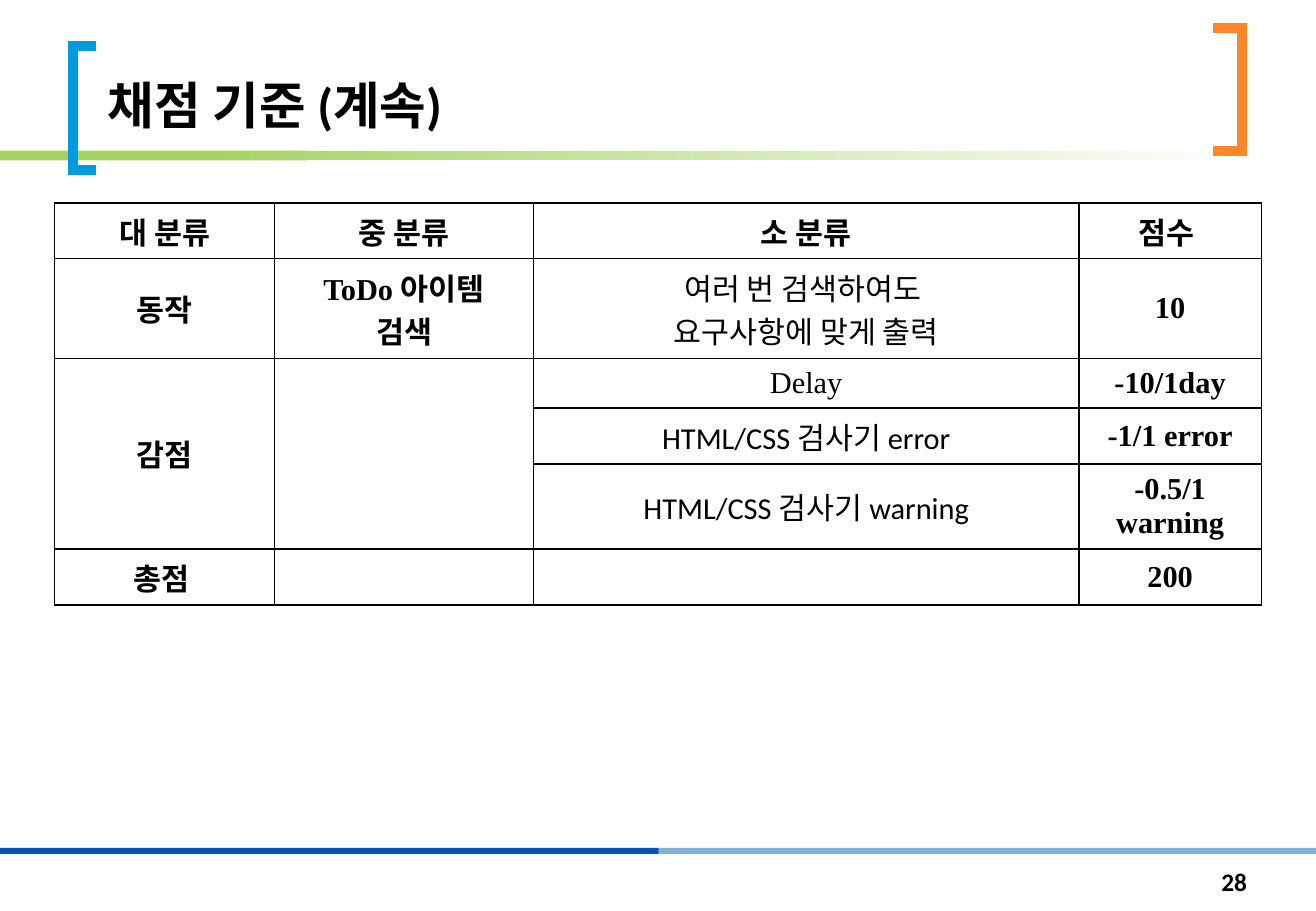
"""Build the grading criteria slide with its score table."""
from lxml.etree import SubElement
from pptx import Presentation
from pptx.dml.color import RGBColor
from pptx.enum.shapes import MSO_SHAPE
from pptx.enum.text import MSO_ANCHOR, PP_ALIGN
from pptx.oxml import parse_xml
from pptx.oxml.ns import nsdecls, qn
from pptx.util import Inches, Pt

BLACK = RGBColor(0x00, 0x00, 0x00)
WHITE = RGBColor(0xFF, 0xFF, 0xFF)
GREEN = RGBColor(0xA5, 0xD3, 0x63)
SKY = RGBColor(0x00, 0x9A, 0xDE)
ORANGE = RGBColor(0xFF, 0x86, 0x29)
NAVY = RGBColor(0x05, 0x53, 0xB4)
PALE_BLUE = RGBColor(0x87, 0xAD, 0xDB)

SANS, SERIF = "Calibri", "Times New Roman"
TITLE = "채점 기준 (계속)"
PAGE_NUMBER = "28"

BARS = [
    (5.42, 6.98, 5.42, 0.05, [PALE_BLUE]),
    (0, 1.24, 2.53, 0.08, [GREEN]),
    (1.72, 1.24, 8.58, 0.08, [GREEN, WHITE]),
    (0, 6.98, 5.42, 0.05, [NAVY]),
]
BRACKETS = [
    ([(0.79, 1.4), (0.6, 1.4), (0.6, 0.38), (0.79, 0.38)], SKY),
    ([(9.98, 0.23), (10.22, 0.23), (10.22, 1.24), (9.98, 1.24)], ORANGE),
]

COLUMN_WIDTHS = [1.81, 2.13, 4.49, 1.5]
ROW_HEIGHTS = [0.46, 0.82, 0.41, 0.46, 0.65, 0.46]
ROWS = [
    [("대 분류", SERIF, True), ("중 분류", SERIF, True),
     ("소 분류", SERIF, True), ("점수 ", SERIF, True)],
    [("동작", SANS, True), ("ToDo 아이템\n검색", SERIF, True),
     ("여러 번 검색하여도 \n요구사항에 맞게 출력", SERIF, False), ("10", SERIF, True)],
    [("감점", SANS, True), None, ("Delay", SERIF, False), ("-10/1day", SERIF, True)],
    [None, None, ("HTML/CSS 검사기 error", SANS, False), ("-1/1 error", SERIF, True)],
    [None, None, ("HTML/CSS 검사기 warning", SANS, False),
     ("-0.5/1 warning", SERIF, True)],
    [("총점 ", SANS, True), None, None, ("200", SERIF, True)],
]
MERGED_COLUMNS = (0, 1)
MERGED_ROWS = (2, 4)


def style(para, font_name, size, bold, alignment):
    para.alignment = alignment
    para.font.name = font_name
    para.font.size = Pt(size)
    para.font.bold = bold
    para.font.color.rgb = BLACK


def add_bar(page, left, top, width, height, colors):
    bar = page.shapes.add_shape(MSO_SHAPE.RECTANGLE, Inches(left), Inches(top),
                                Inches(width), Inches(height))
    bar.shadow.inherit = False
    bar.line.fill.background()
    if len(colors) == 1:
        bar.fill.solid()
        bar.fill.fore_color.rgb = colors[0]
    else:
        bar.fill.gradient()
        bar.fill.gradient_angle = 0
        for stop, color in zip(bar.fill.gradient_stops, colors):
            stop.color.rgb = color


def add_bracket(page, points, color):
    corners = [(Inches(x), Inches(y)) for x, y in points]
    builder = page.shapes.build_freeform(*corners[0])
    builder.add_line_segments(corners[1:], close=False)
    bracket = builder.convert_to_shape()
    bracket.shadow.inherit = False
    bracket.fill.background()
    bracket.line.color.rgb = color
    bracket.line.width = Pt(6)
    SubElement(bracket.line._get_or_add_ln(), qn("a:miter"), lim="800000")


def add_label(page, area, text, size, anchor, alignment):
    box = page.shapes.add_textbox(*map(Inches, area))
    frame = box.text_frame
    frame.word_wrap = True
    frame.vertical_anchor = anchor
    frame.text = text
    style(frame.paragraphs[0], SANS, size, True, alignment)


def add_borders(cell):
    properties = cell._tc.get_or_add_tcPr()
    for index, side in enumerate(("lnL", "lnR", "lnT", "lnB")):
        properties.insert(index, parse_xml(
            f'<a:{side} {nsdecls("a")} w="12700"><a:solidFill>'
            f'<a:srgbClr val="{BLACK}"/></a:solidFill></a:{side}>'))


def add_score_table(page):
    frame = page.shapes.add_table(
        len(ROWS), len(COLUMN_WIDTHS), Inches(0.45), Inches(1.67),
        Inches(sum(COLUMN_WIDTHS)), Inches(sum(ROW_HEIGHTS)))
    table = frame.table
    for column, width in zip(table.columns, COLUMN_WIDTHS):
        column.width = Inches(width)
    for row, height in zip(table.rows, ROW_HEIGHTS):
        row.height = Inches(height)
    for row, entries in zip(table.rows, ROWS):
        for cell, entry in zip(row.cells, entries):
            text, font_name, bold = entry or ("", SERIF, True)
            cell.text = text
            cell.vertical_anchor = MSO_ANCHOR.MIDDLE
            cell.fill.background()
            add_borders(cell)
            for para in cell.text_frame.paragraphs:
                style(para, font_name, 18, bold, PP_ALIGN.CENTER)
    first, last = MERGED_ROWS
    for column in MERGED_COLUMNS:
        table.cell(first, column).merge(table.cell(last, column))


def main():
    deck = Presentation()
    deck.slide_width, deck.slide_height = Inches(10.83), Inches(7.5)
    page = deck.slides.add_slide(deck.slide_layouts[6])
    for bar in BARS[:3]:
        add_bar(page, *bar)
    for points, color in BRACKETS:
        add_bracket(page, points, color)
    add_bar(page, *BARS[3])
    add_label(page, (0.79, 0.04, 9.19, 1.12), TITLE, 30,
              MSO_ANCHOR.BOTTOM, PP_ALIGN.LEFT)
    add_label(page, (8.88, 7.06, 1.48, 0.4), PAGE_NUMBER, 15,
              MSO_ANCHOR.MIDDLE, PP_ALIGN.RIGHT)
    add_score_table(page)
    deck.save("out.pptx")


if __name__ == "__main__":
    main()
